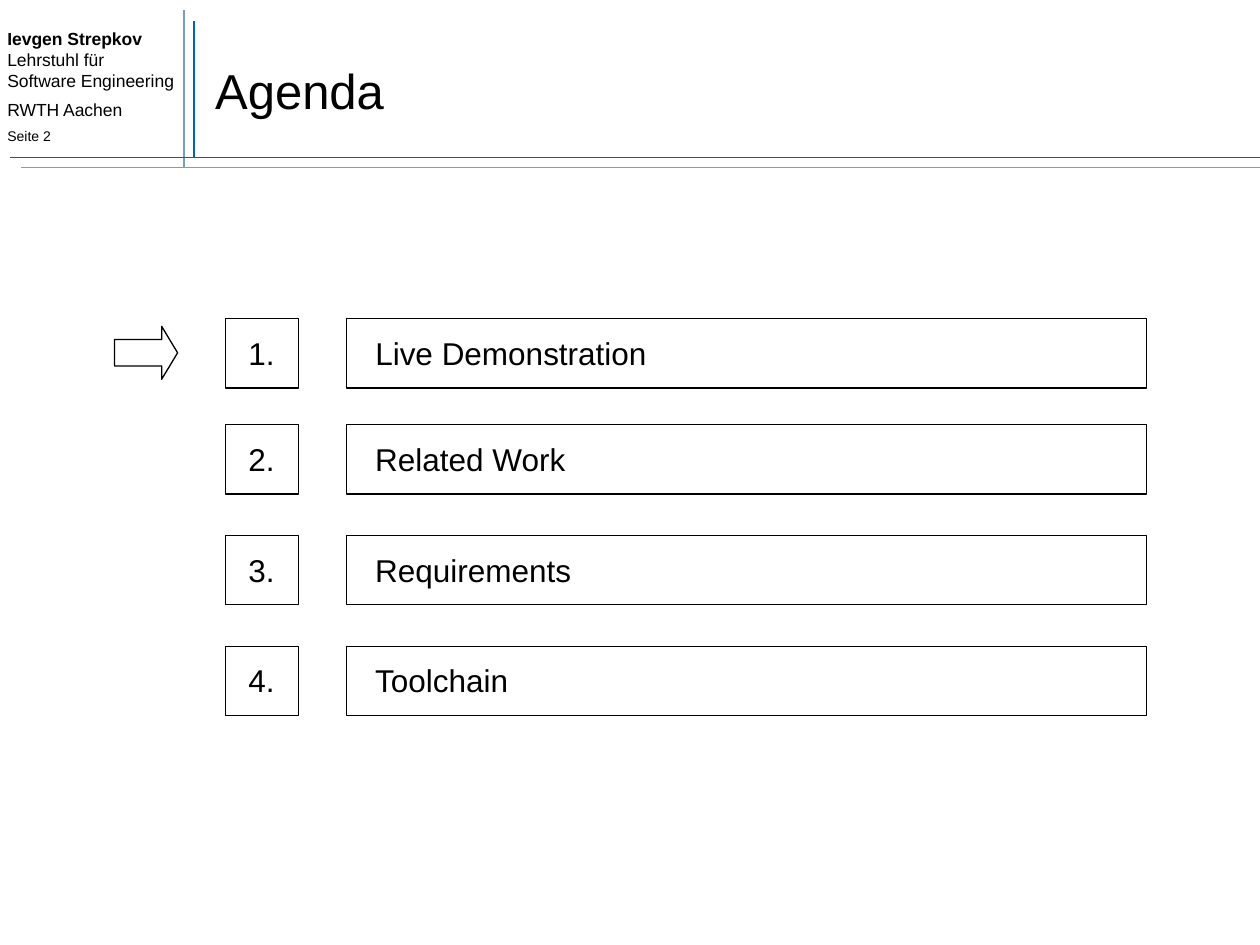
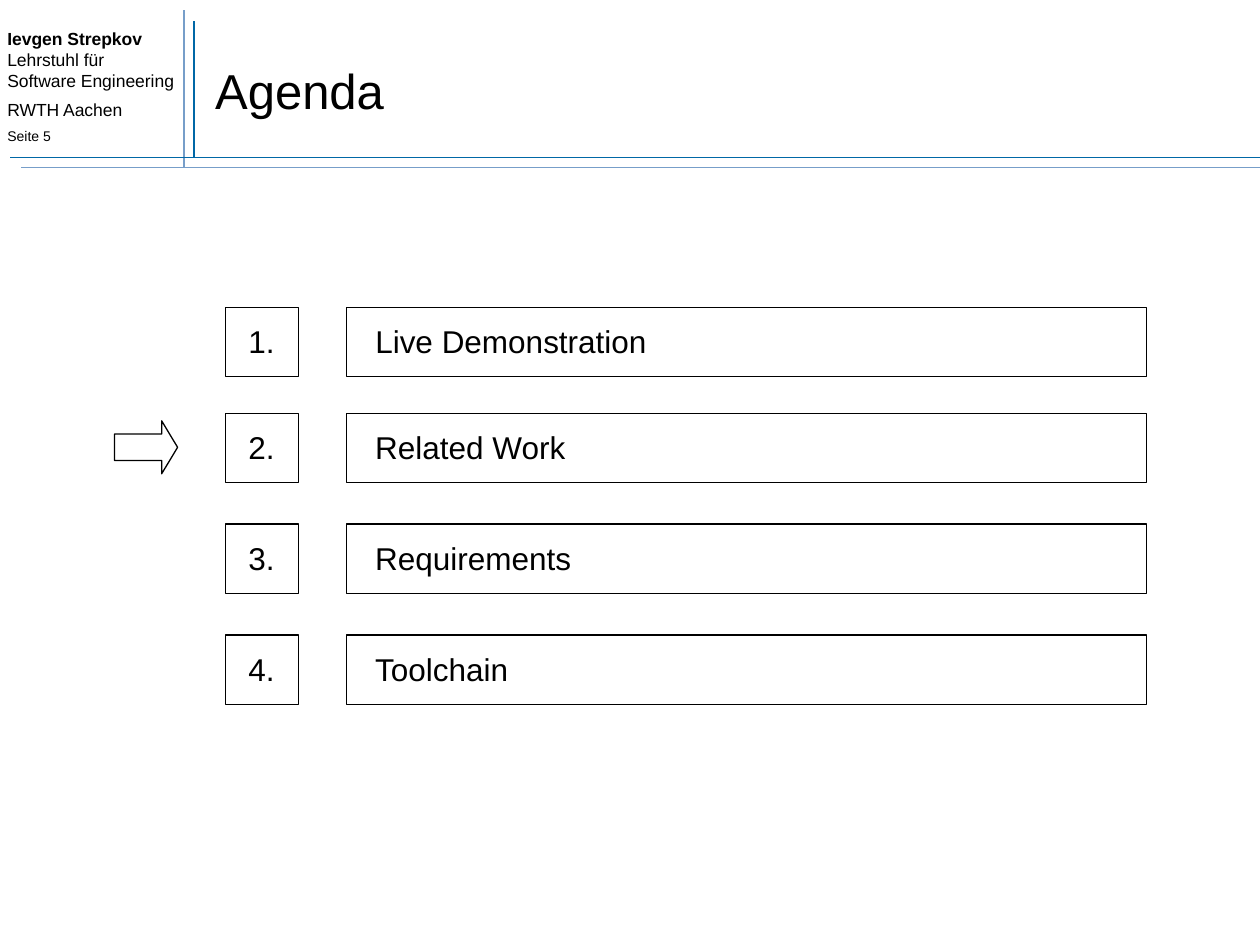
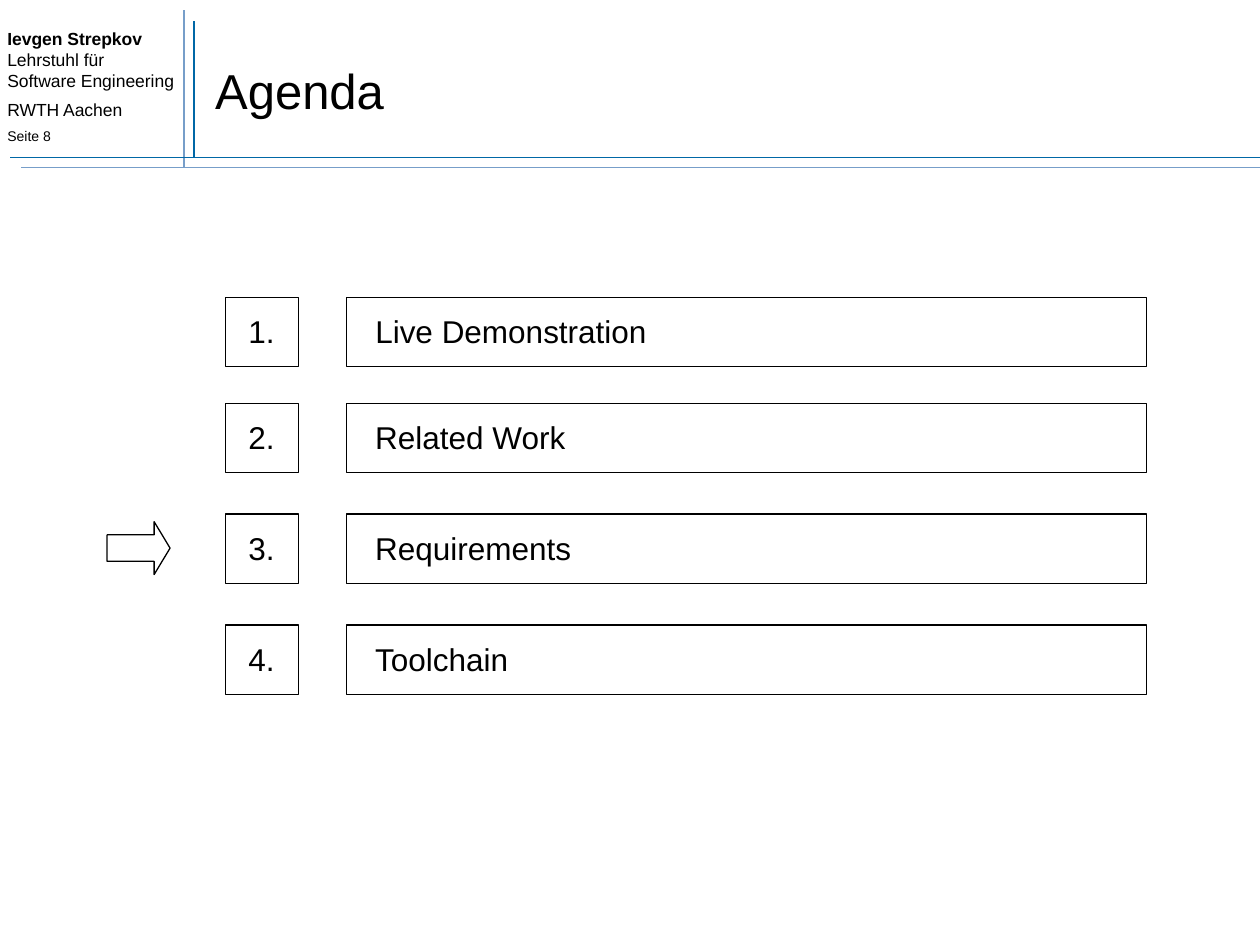
from dataclasses import dataclass

from lxml import etree
from pptx import Presentation
from pptx.dml.color import RGBColor
from pptx.enum.shapes import MSO_CONNECTOR, MSO_SHAPE
from pptx.enum.text import MSO_ANCHOR, MSO_AUTO_SIZE, PP_ALIGN
from pptx.oxml.ns import qn
from pptx.util import Inches, Pt

STRAIGHT = MSO_CONNECTOR.STRAIGHT
RECTANGLE = MSO_SHAPE.RECTANGLE
RIGHT_ARROW = MSO_SHAPE.RIGHT_ARROW
TOP, MIDDLE = MSO_ANCHOR.TOP, MSO_ANCHOR.MIDDLE
GROW, FIXED = MSO_AUTO_SIZE.SHAPE_TO_FIT_TEXT, MSO_AUTO_SIZE.NONE
LEFT, CENTER = PP_ALIGN.LEFT, PP_ALIGN.CENTER


@dataclass(frozen=True)
class Theme:
    font: str = "Arial"
    ink: RGBColor = RGBColor(0x00, 0x00, 0x00)
    dark_blue: RGBColor = RGBColor(0x00, 0x67, 0xA6)
    light_blue: RGBColor = RGBColor(0x77, 0x9E, 0xC9)
    title_size: int = 28
    item_size: int = 18
    author_size: int = 10
    page_size: int = 8
    rule_width: float = 1
    outline_width: float = 0.75


THEME = Theme()
AGENDA = [
    ("Live Demonstration", 0, 2.38),
    ("Related Work", 0.84, 1.73),
    ("Requirements", 1.72, 1.77),
    ("Toolchain", 2.6, 1.27),
]
PAGES = [
    {"page": 2, "top": 2.53, "current": 0, "arrow_left": 0.91},
    {"page": 5, "top": 2.44, "current": 1, "arrow_left": 0.91},
    {"page": 8, "top": 2.36, "current": 2, "arrow_left": 0.85},
]


def write(paragraph, text, *, size, bold=False, align=LEFT, before=0):
    paragraph.alignment = align
    if before:
        paragraph.space_before = Pt(before)
    run = paragraph.add_run()
    run.text = text
    run.font.name = THEME.font
    run.font.size = Pt(size)
    run.font.bold = bold
    run.font.color.rgb = THEME.ink


class Deck:
    def __init__(self, theme):
        self.theme = theme
        self.presentation = Presentation()
        self.presentation.slide_width = Inches(10)
        self.presentation.slide_height = Inches(7.5)
        self.slide = None

    def new_slide(self, title, page):
        blank = self.presentation.slide_layouts[6]
        self.slide = self.presentation.slides.add_slide(blank)
        self.author_block(page)
        self.header_rules()
        heading = self.text_frame(self.slide.shapes, 1.61, 0.25, 8.27, 0.92)
        write(heading.paragraphs[0], title, size=self.theme.title_size)

    def text_frame(self, shapes, left, top, width, height, *, anchor=MIDDLE, wrap=True, fit=FIXED):
        box = shapes.add_textbox(Inches(left), Inches(top), Inches(width), Inches(height))
        frame = box.text_frame
        frame.word_wrap = wrap
        frame.auto_size = fit
        frame.vertical_anchor = anchor
        return frame

    def author_block(self, page):
        size = self.theme.author_size
        frame = self.text_frame(self.slide.shapes, -0.04, 0.17, 1.53, 1.06, anchor=TOP, fit=GROW)
        author = frame.paragraphs[0]
        write(author, "Ievgen Strepkov", size=size, bold=True)
        author.add_line_break()
        write(author, "Lehrstuhl für Software Engineering", size=size)
        write(frame.add_paragraph(), "RWTH Aachen", size=size, before=5)
        write(frame.add_paragraph(), f"Seite {page}", size=self.theme.page_size, before=4)

    def header_rules(self):
        dark, light = self.theme.dark_blue, self.theme.light_blue
        self.rule(1.54, 1.25, 1.54, 0.17, dark)
        self.rule(1.46, 1.33, 1.46, 0.08, light)
        self.rule(0.08, 1.25, 10, 1.25, dark)
        self.rule(0.17, 1.33, 10, 1.33, light)

    def rule(self, x1, y1, x2, y2, color):
        rule = self.slide.shapes.add_connector(
            STRAIGHT, Inches(x1), Inches(y1), Inches(x2), Inches(y2)
        )
        rule.line.color.rgb = color
        rule.line.width = Pt(self.theme.rule_width)
        etree.SubElement(rule._element.spPr, qn("a:effectLst"))

    def outline(self, shapes, kind, left, top, width, height):
        outline = shapes.add_shape(kind, Inches(left), Inches(top), Inches(width), Inches(height))
        outline.shadow.inherit = False
        outline.fill.background()
        outline.line.color.rgb = self.theme.ink
        outline.line.width = Pt(self.theme.outline_width)
        return outline

    def agenda_row(self, number, topic, topic_width, top):
        shapes = self.slide.shapes.add_group_shape().shapes
        cells = [
            (2.75, 6.35, topic, 2.88, topic_width, LEFT),
            (1.79, 0.58, f"{number}.", 1.87, 0.41, CENTER),
        ]
        for left, width, text, text_left, text_width, align in cells:
            self.outline(shapes, RECTANGLE, left, top, width, 0.55)
            frame = self.text_frame(
                shapes, text_left, top + 0.07, text_width, 0.4, wrap=False, fit=GROW
            )
            write(frame.paragraphs[0], text, size=self.theme.item_size, align=align)

    def current_arrow(self, left, row_top):
        arrow = self.outline(self.slide.shapes, RIGHT_ARROW, left, row_top + 0.06, 0.5, 0.42)
        arrow.adjustments[0] = 0.5
        arrow.adjustments[1] = 0.3

    def agenda(self, page, top, current, arrow_left):
        self.new_slide("Agenda", page)
        for index, (topic, offset, topic_width) in enumerate(AGENDA):
            self.agenda_row(index + 1, topic, topic_width, top + offset)
            if index == current:
                self.current_arrow(arrow_left, top + offset)


def main():
    deck = Deck(THEME)
    for page in PAGES:
        deck.agenda(**page)
    deck.presentation.save("out.pptx")


if __name__ == "__main__":
    main()
